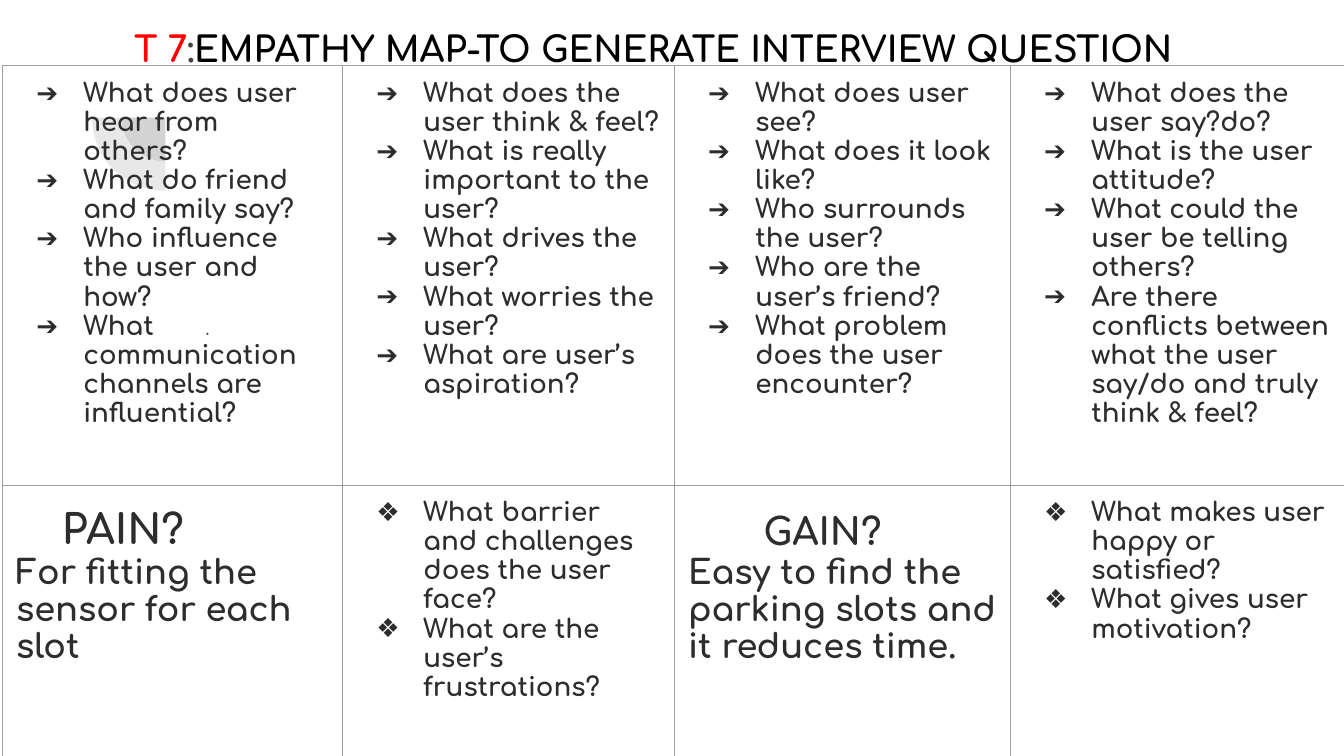
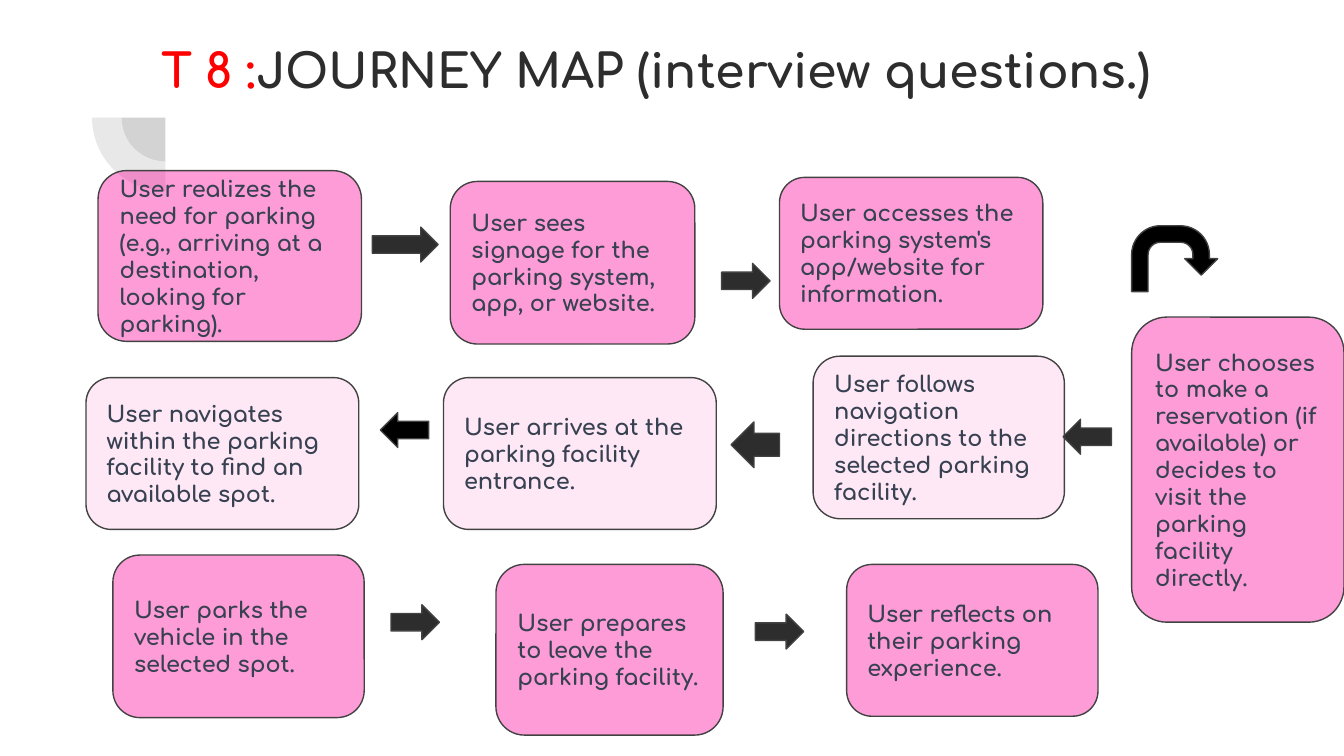
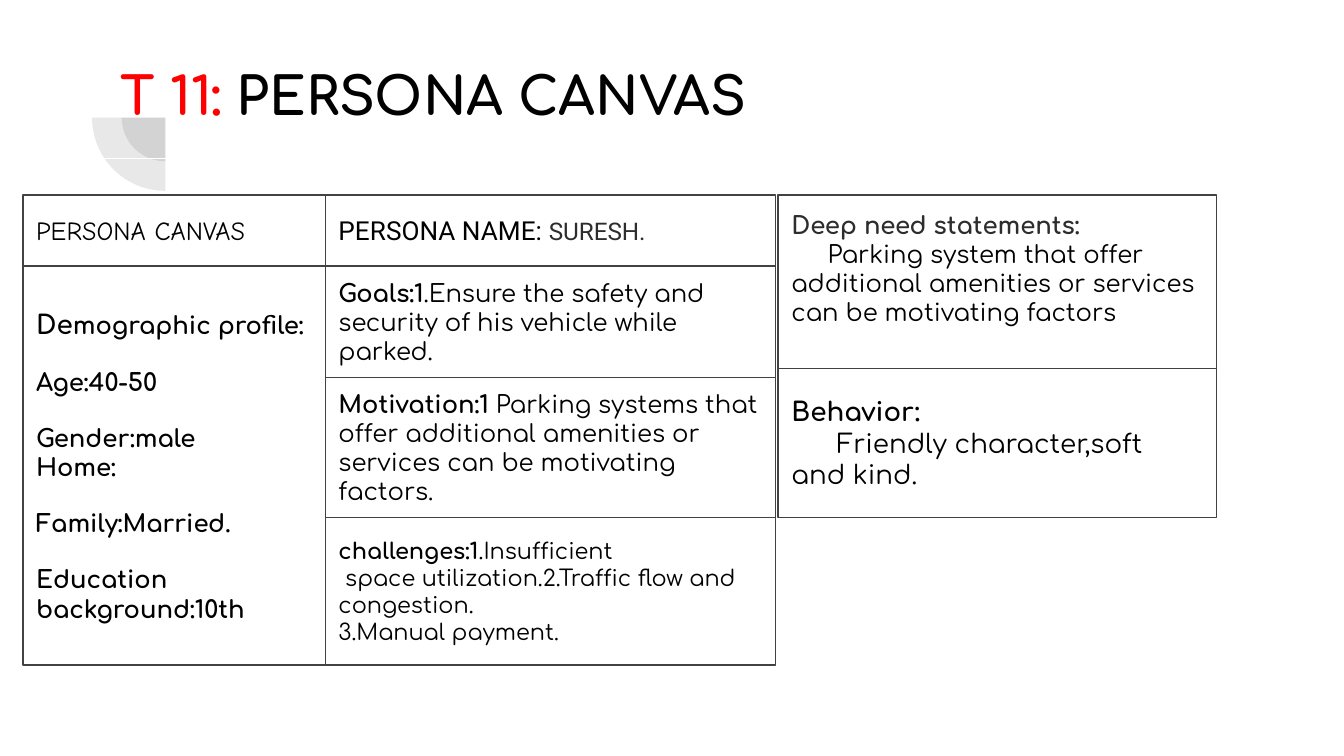
from lxml import etree
from pptx import Presentation
from pptx.dml.color import RGBColor
from pptx.enum.shapes import MSO_SHAPE
from pptx.enum.text import MSO_ANCHOR, PP_ALIGN
from pptx.oxml.ns import qn
from pptx.util import Inches, Pt

LEFT = PP_ALIGN.LEFT
TOP, MIDDLE = MSO_ANCHOR.TOP, MSO_ANCHOR.MIDDLE
RECT, ROUND, PIE = MSO_SHAPE.RECTANGLE, MSO_SHAPE.ROUNDED_RECTANGLE, MSO_SHAPE.PIE
PROCESS = MSO_SHAPE.FLOWCHART_ALTERNATE_PROCESS
RIGHT_ARROW, LEFT_ARROW = MSO_SHAPE.RIGHT_ARROW, MSO_SHAPE.LEFT_ARROW
U_TURN = MSO_SHAPE.U_TURN_ARROW

COLORS = {
    "red": "FF0000", "black": "000000", "white": "FFFFFF", "ink": "2D2D2D",
    "gray": "424242", "slate": "374151", "pink": "FE019A", "rule": "9E9E9E",
}
FONT = "Comfortaa"

deck = Presentation()
deck.slide_width, deck.slide_height = Inches(10), Inches(5.625)
CELL = deck.slide_width // 100
MARGIN = CELL


def write(frame, paras, anchor=TOP, bottom=MARGIN):
    frame.word_wrap = True
    frame.vertical_anchor = anchor
    frame.margin_left = frame.margin_right = frame.margin_top = MARGIN
    frame.margin_bottom = bottom
    for index, (layout, spans) in enumerate(paras):
        para = frame.paragraphs[0] if index == 0 else frame.add_paragraph()
        props = para._p.get_or_add_pPr()
        if "bullet" in layout:
            props.set("marL", str(5 * CELL))
            props.set("indent", str(int(-3.5 * CELL)))
            tint = etree.SubElement(props, qn("a:buClr"))
            etree.SubElement(tint, qn("a:srgbClr")).set("val", COLORS["ink"])
            etree.SubElement(props, qn("a:buFont")).set("typeface", FONT)
            etree.SubElement(props, qn("a:buChar")).set("char", layout["bullet"])
        if "indent" in layout:
            props.set("indent", str(int(layout["indent"] * CELL)))
        para.alignment = LEFT
        for name in ("space_before", "space_after", "line_spacing"):
            if name in layout:
                setattr(para, name, layout[name])
        for text, size, color, *extra in spans:
            span = para.add_run()
            span.text = text
            look = {"size": Pt(size), "name": FONT, "bold": True}
            look.update(*extra)
            for name, value in look.items():
                setattr(span.font, name, value)
            span.font.color.rgb = RGBColor.from_string(COLORS[color])


def add_block(page, kind, at, fill=None, line=None, alpha=None):
    block = page.shapes.add_shape(kind, *[int(n * CELL) for n in at])
    block.shadow.inherit = False
    if fill:
        block.fill.solid()
        block.fill.fore_color.rgb = RGBColor.from_string(COLORS[fill])
    else:
        block.fill.background()
    if alpha:
        color = block.element.spPr.find(".//" + qn("a:srgbClr"))
        etree.SubElement(color, qn("a:alpha")).set("val", str(alpha * 1000))
    if line:
        block.line.color.rgb = RGBColor.from_string(COLORS[line])
        block.line.width = Pt(0.75)
    else:
        block.line.fill.background()
    return block


LIGHT = {"bold": False}
TITLES = [
    ((9, 1, 82.1, 5.3), None, 0,
     [("T 7", 19, "red"), (":", 19, "gray"),
      ("EMPATHY MAP-TO GENERATE INTERVIEW QUESTION", 19, "black")]),
    ((11, 2.1, 80.2, 7.8), None, 0,
     [("T 8 :", 25.2, "red"), ("JOURNEY MAP (interview questions.)", 25.2, "ink")]),
    ((2.5, 3.7, 88.6, 8.1), "white", 5.5,
     [("T 11: ", 28, "red"), ("PERSONA CANVAS", 28, "black")]),
]
pages = []
for at, line, indent, spans in TITLES:
    page = deck.slides.add_slide(deck.slide_layouts[6])
    for size in (6.5, 10.9):
        pie = add_block(page, PIE, (12.3 - size / 2, 8.75 - size / 2, size, size), "gray", alpha=12)
        pie.rotation = 270
        pie.adjustments[0], pie.adjustments[1] = 107.93, 162
    title = add_block(page, RECT, at, line=line)
    write(title.text_frame, [({"indent": indent}, spans)])
    pages.append(page)
empathy, journey, persona = pages

dot = empathy.shapes.add_textbox(*[int(n * CELL) for n in (14.3, 21.8, 76.9, 27.8)])
write(dot.text_frame, [({"line_spacing": 1.15, "space_after": Pt(12)},
                        [(".", 13, "gray", {"name": "Quicksand", "bold": False})])])

QUESTIONS = [
    ["What does user hear from others?", "What do friend and family say?",
     "Who influence the user and how?", "What communication channels are influential?"],
    ["What does the user think & feel?", "What is really important to the user?",
     "What drives the user?", "What worries the user?", "What are user’s aspiration?"],
    ["What does user see?", "What does it look like?", "Who surrounds the user?",
     "Who are the user’s friend?", "What problem does the user encounter?"],
    ["What does the user say?do?", "What is the user attitude?",
     "What could the user be telling others?",
     "Are there conflicts between what the user say/do and truly think & feel?"],
]
OUTCOMES = [
    ("PAIN?", 22, 3.4, "For fitting the sensor for each slot",
     ["What barrier and challenges does the user face?", "What are the user’s frustrations?"]),
    ("GAIN?", 20, 5.6, "Easy to find the parking slots and it reduces time.",
     ["What makes user happy or satisfied?", "What gives user motivation?"]),
]
top_row = [[({"bullet": "➔"}, [(text, 14, "ink")]) for text in texts] for texts in QUESTIONS]
bottom_row = []
for heading, size, indent, answer, texts in OUTCOMES:
    bottom_row.append([
        ({"indent": indent, "line_spacing": Pt(30)}, [(heading, size, "ink")]),
        ({}, [(answer, 18, "ink")]),
    ])
    bottom_row.append([({"bullet": "❖"}, [(text, 14, "ink")]) for text in texts])

COLUMNS, ROWS = (25.3, 24.7, 25, 25), (31.2, 20.6)
map_at = (0.2, 4.9, sum(COLUMNS), sum(ROWS))
grid = empathy.shapes.add_table(2, 4, *[int(n * CELL) for n in map_at]).table
grid.first_row = grid.horz_banding = False
for column, width in zip(grid.columns, COLUMNS):
    column.width = int(width * CELL)
for row, height, contents in zip(grid.rows, ROWS, (top_row, bottom_row)):
    row.height = int(height * CELL)
    for cell, paras in zip(row.cells, contents):
        write(cell.text_frame, paras)
        cell.margin_left = cell.margin_right = MARGIN
        cell.margin_top = cell.margin_bottom = MARGIN
        cell.fill.background()
        props = cell._tc.get_or_add_tcPr()
        for place, side in enumerate(("lnL", "lnR", "lnT", "lnB")):
            border = etree.Element(qn("a:" + side), w=str(Pt(0.75)))
            paint = etree.SubElement(border, qn("a:solidFill"))
            etree.SubElement(paint, qn("a:srgbClr")).set("val", COLORS["rule"])
            props.insert(place, border)

STRONG, PALE = 39, 9
STEPS = [
    (PROCESS, (7.3, 12.7, 19.6, 12.7), STRONG,
     "User realizes the need for parking (e.g., arriving at a destination, looking for parking)."),
    (ROUND, (33.5, 13.5, 18.2, 12.1), STRONG,
     "User sees signage for the parking system, app, or website."),
    (ROUND, (58, 13.2, 19.6, 11.3), STRONG,
     "User accesses the parking system's app/website for information."),
    (ROUND, (6.4, 28.1, 20.3, 11.3), PALE,
     "User navigates within the parking facility to find an available spot."),
    (ROUND, (33, 28.1, 20.3, 11.3), PALE, "User arrives at the parking facility entrance."),
    (ROUND, (60.5, 26.5, 18.7, 12.1), PALE,
     "User follows navigation directions to the selected parking facility."),
    (ROUND, (8.4, 41.3, 18.7, 12.1), STRONG, "User parks the vehicle in the selected spot."),
    (ROUND, (36.9, 42, 16.9, 12.7), STRONG, "User prepares to leave the parking facility."),
    (ROUND, (63, 42, 18.7, 11.3), STRONG, "User reflects on their parking experience."),
    (ROUND, (84.2, 23.6, 15.8, 22.7), STRONG,
     "User chooses to make a reservation (if available) or decides to visit "
     "the parking facility directly."),
]
for kind, at, alpha, text in STEPS:
    step = add_block(journey, kind, at, "pink", "gray", alpha)
    write(step.text_frame, [({}, [(text, 12, "slate")])], MIDDLE)

ARROWS = [
    (RIGHT_ARROW, (27.7, 16.9, 4.9, 2.6), "ink"),
    (RIGHT_ARROW, (53.7, 19.6, 3.6, 2.6), "ink"),
    (U_TURN, (84.2, 16.8, 6.4, 4.9), "black"),
    (LEFT_ARROW, (28.3, 30.7, 3.6, 2.6), "black"),
    (LEFT_ARROW, (54.4, 31.4, 3.6, 3.4), "ink"),
    (LEFT_ARROW, (79.1, 31.2, 3.6, 2.6), "ink"),
    (RIGHT_ARROW, (29.1, 45, 3.6, 2.6), "ink"),
    (RIGHT_ARROW, (56.2, 45.7, 3.6, 2.6), "ink"),
]
for kind, at, fill in ARROWS:
    add_block(journey, kind, at, fill, "gray")

GAP = {"space_before": Pt(14.5)}
profile = [({}, [("De", 14, "black"), ("mographic profile:", 13, "black")])]
for layout, text in [(GAP, "Age:40-50"), (GAP, "Gender:male"), ({}, "Home:"),
                     (GAP, "Family:Married."), (GAP, "Education background:10th")]:
    profile.append((layout, [(text, 13, "black")]))

CANVAS = [
    (1.7, 22.5, [
        (5.3, MARGIN, [({}, [("PERSONA CANVAS", 14, "black",
                              {"name": "Comic Neue", "bold": False})])]),
        (29.7, MARGIN, profile),
    ]),
    (24.2, 33.5, [
        (5.3, MARGIN, [({}, [("PERSONA NAME: ", 14, "black", {"name": "Roboto", "bold": False}),
                             ("SURESH.", 13, "ink", {"name": "Roboto", "bold": False})])]),
        (8.3, MARGIN, [({}, [("Goals:1", 13, "black"),
                             (".Ensure the safety and security of his vehicle while parked.",
                              13, "black", LIGHT)])]),
        (10.4, MARGIN, [({}, [("Motivation:1 ", 13, "black"),
                              ("Parking systems that offer additional amenities or services "
                               "can be motivating factors.", 13, "black", LIGHT)])]),
        (11, MARGIN, [
            ({}, [("challenges:1", 12, "black"), (".Insufficient", 12, "black", LIGHT)]),
            ({"indent": 0.5}, [("space utilization.2.Traffic flow and congestion.",
                                12, "black", LIGHT)]),
            ({}, [("3.Manual payment.", 12, "black", LIGHT)]),
        ]),
    ]),
    (57.9, 32.6, [
        (12.9, 3 * MARGIN, [
            ({}, [("Deep need statements:", 13, "ink")]),
            ({"indent": 2.7}, [("Parking system that offer additional amenities or services "
                                "can be motivating factors", 13, "black", LIGHT)]),
        ]),
        (11.1, MARGIN, [
            ({}, [("Behavior:", 14, "black")]),
            ({"indent": 3.4}, [("Friendly character,soft and kind.", 14, "black", LIGHT)]),
        ]),
    ]),
]
for left, width, panels in CANVAS:
    top = 14.5
    for height, bottom, paras in panels:
        panel = add_block(persona, RECT, (left, top, width, height), "white", "gray")
        write(panel.text_frame, paras, MIDDLE, bottom)
        top += height

deck.save("out.pptx")
